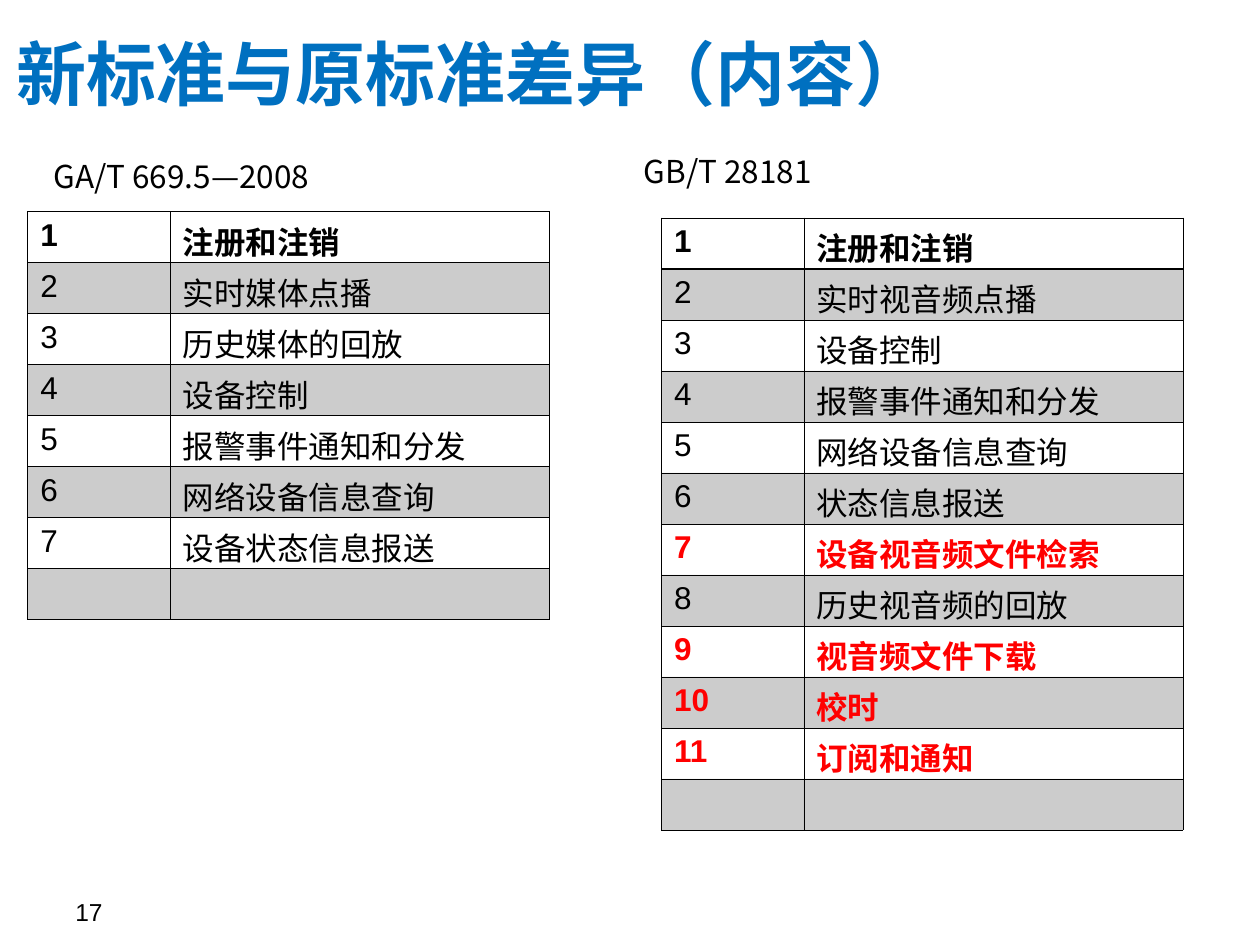
from dataclasses import dataclass

from lxml import etree
from pptx import Presentation
from pptx.dml.color import RGBColor
from pptx.enum.text import MSO_ANCHOR, MSO_AUTO_SIZE, PP_ALIGN
from pptx.oxml.ns import qn
from pptx.util import Inches, Pt

LEFT, CENTER = PP_ALIGN.LEFT, PP_ALIGN.CENTER
TOP, BOTTOM = MSO_ANCHOR.TOP, MSO_ANCHOR.BOTTOM
GROW = MSO_AUTO_SIZE.SHAPE_TO_FIT_TEXT
BLANK_LAYOUT = 6


@dataclass(frozen=True)
class Theme:
    ink: str = "000000"
    title: str = "0070C0"
    added: str = "FF0000"
    band_alpha: int = 20
    latin: str = "Arial"
    chinese: str = "Noto Sans CJK SC"
    title_size: int = 40
    body_size: int = 18
    number_size: int = 14
    rule: float = 0.45
    header_rule: float = 0.96


THEME = Theme()
ROW_HEIGHT = 0.405
COLUMNS = (1.13, 3.01)

OLD_ITEMS = ("注册和注销", "实时媒体点播", "历史媒体的回放", "设备控制",
             "报警事件通知和分发", "网络设备信息查询", "设备状态信息报送")
NEW_ITEMS = ("注册和注销", "实时视音频点播", "设备控制", "报警事件通知和分发",
             "网络设备信息查询", "状态信息报送", "设备视音频文件检索",
             "历史视音频的回放", "视音频文件下载", "校时", "订阅和通知")
ADDED_NUMBERS = {7, 9, 10, 11}


def write_text(frame, text, size=THEME.body_size, color=THEME.ink, bold=False,
               font=THEME.latin, align=LEFT):
    para = frame.paragraphs[0]
    para.alignment = align
    span = para.add_run()
    span.text = text
    span.font.size = Pt(size)
    span.font.bold = bold
    span.font.name = font
    span.font.color.rgb = RGBColor.from_string(color)
    east_asian = etree.SubElement(span.font._element, qn("a:ea"))
    east_asian.set("typeface", THEME.chinese)


def add_label(page, box, text, wrap=True, anchor=TOP, **text_format):
    label = page.shapes.add_textbox(*map(Inches, box))
    frame = label.text_frame
    frame.word_wrap = wrap
    frame.vertical_anchor = anchor
    if not wrap:
        frame.auto_size = GROW
    write_text(frame, text, **text_format)
    return label


def add_solid_fill(parent, color, alpha=100):
    fill = etree.SubElement(parent, qn("a:solidFill"))
    tint = etree.SubElement(fill, qn("a:srgbClr"), val=color)
    if alpha < 100:
        etree.SubElement(tint, qn("a:alpha"), val=str(alpha * 1000))


def style_cell(cell, row):
    """Rule all four sides, with a heavier line under the first row, and band odd rows."""
    cell.margin_bottom = 0
    properties = cell._tc.get_or_add_tcPr()
    heavy_side = {0: "lnB", 1: "lnT"}.get(row)
    for side in ("lnL", "lnR", "lnT", "lnB"):
        width = THEME.header_rule if side == heavy_side else THEME.rule
        line = etree.SubElement(properties, qn(f"a:{side}"), w=str(Pt(width)))
        add_solid_fill(line, THEME.ink)
    if row % 2:
        add_solid_fill(properties, THEME.ink, THEME.band_alpha)
    else:
        etree.SubElement(properties, qn("a:noFill"))


def add_item_table(page, left, top, items, added=()):
    """Number the items and close the table with an empty row."""
    row_count = len(items) + 1
    box = (left, top, sum(COLUMNS), row_count * ROW_HEIGHT)
    table = page.shapes.add_table(row_count, len(COLUMNS), *map(Inches, box)).table
    for column, width in zip(table.columns, COLUMNS):
        column.width = Inches(width)
    for row in range(row_count):
        table.rows[row].height = Inches(ROW_HEIGHT)
        number = row + 1
        texts = (str(number), items[row]) if row < len(items) else ("", "")
        is_added = number in added
        for cell, text in zip(table.rows[row].cells, texts):
            style_cell(cell, row)
            if text:
                write_text(cell.text_frame, text, bold=row == 0 or is_added,
                           color=THEME.added if is_added else THEME.ink)


def add_standard(page, caption_box, caption, table_corner, items, added=()):
    add_item_table(page, *table_corner, items, added)
    add_label(page, caption_box, caption, wrap=False, font=THEME.chinese, align=CENTER)


def add_page_number(page, box, number):
    label = add_label(page, box, number, anchor=BOTTOM, size=THEME.number_size)
    label.text_frame.margin_bottom = 0


def main():
    deck = Presentation()
    deck.slide_width, deck.slide_height = Inches(10), Inches(7.5)
    page = deck.slides.add_slide(deck.slide_layouts[BLANK_LAYOUT])
    add_page_number(page, (0.5, 6.83, 2.33, 0.52), "17")
    add_standard(page, (0.29, 1.2, 2.3, 0.4), "GA/T 669.5—2008", (0.22, 1.68), OLD_ITEMS)
    add_standard(page, (5, 1.16, 1.55, 0.4), "GB/T 28181", (5.25, 1.73), NEW_ITEMS,
                 ADDED_NUMBERS)
    add_label(page, (0.03, 0.19, 7.57, 0.87), "新标准与原标准差异（内容）", bold=True,
              size=THEME.title_size, color=THEME.title, font=THEME.chinese)
    deck.save("out.pptx")


if __name__ == "__main__":
    main()
